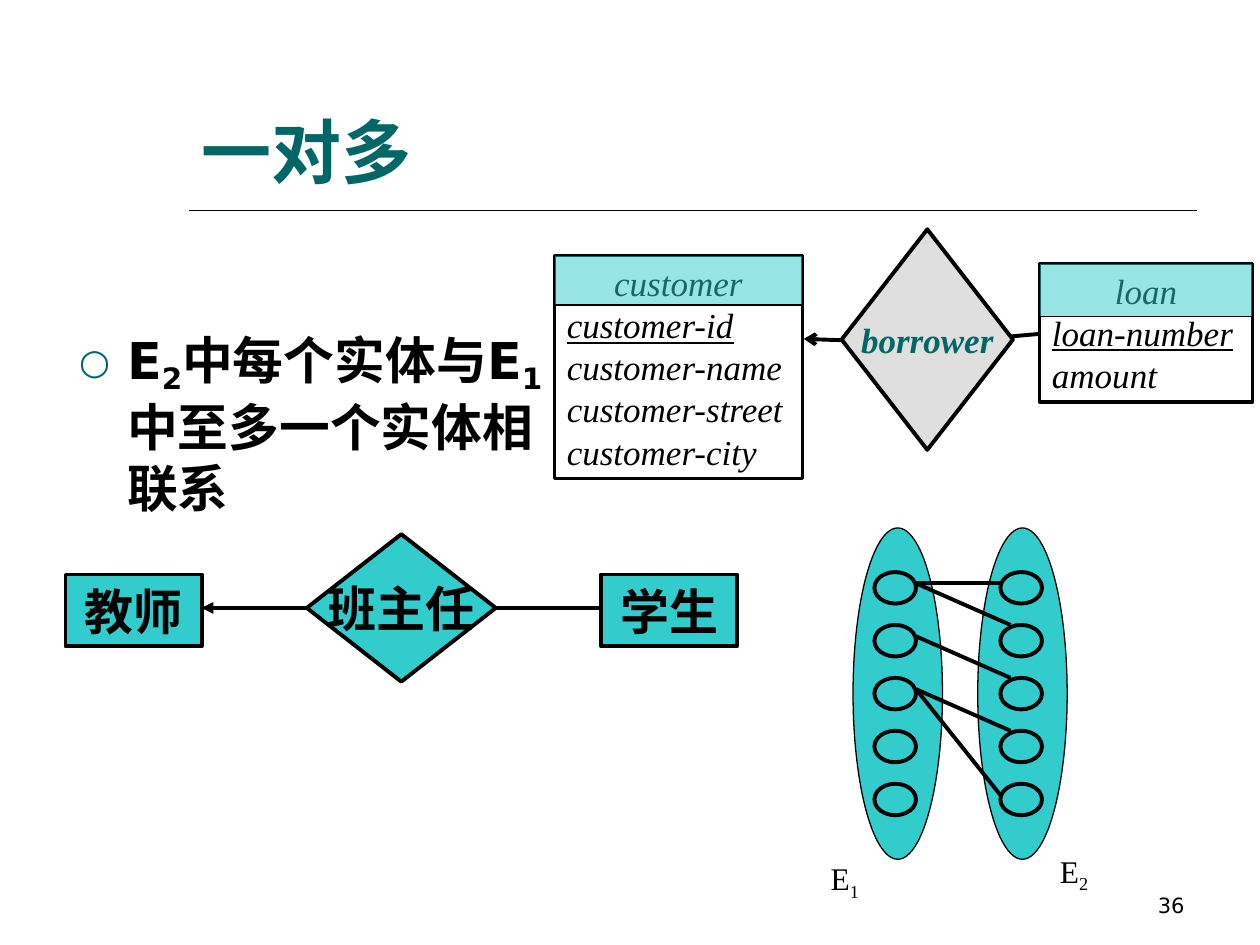
from lxml import etree
from pptx import Presentation
from pptx.dml.color import RGBColor
from pptx.enum import shapes, text
from pptx.oxml import ns
from pptx.util import Inches, Pt

BLACK = RGBColor(0x00, 0x00, 0x00)
DEEP_TEAL = RGBColor(0x00, 0x66, 0x66)
TURQUOISE = RGBColor(0x33, 0xCC, 0xCC)
GRAY = RGBColor(0xDF, 0xDF, 0xDF)

KIND = shapes.MSO_SHAPE
ALIGN = text.PP_ALIGN
ANCHOR = text.MSO_ANCHOR
SERIF = "Times New Roman"
BULLET_FONT = "DejaVu Sans"

TITLE = {"name": "Arial", "size": Pt(40), "bold": True}
BODY = {"name": BULLET_FONT, "size": Pt(29), "bold": True}
NUMBER = {"name": BULLET_FONT, "size": Pt(12)}
CHINESE = {"name": SERIF, "size": Pt(28), "bold": True}
FIELD = {"name": SERIF, "size": Pt(20), "italic": True}
LABEL = {"name": SERIF, "size": Pt(18)}


def add_xml(parent, tag, **values):
    return etree.SubElement(parent, ns.qn(tag), values)


def set_values(target, values):
    for name, value in values.items():
        setattr(target, name, value)


def add_span(para, words, font, color=BLACK, baseline=0):
    span = para.add_run()
    span.text = words
    set_values(span.font, font)
    span.font.color.rgb = color
    if baseline:
        span.font._element.set("baseline", str(baseline * 1000))
    return span


def add_text(page, left, top, width, height, anchor=ANCHOR.TOP):
    box = page.shapes.add_textbox(*map(Inches, (left, top, width, height)))
    set_values(box.text_frame, {"word_wrap": True, "vertical_anchor": anchor})
    return box.text_frame.paragraphs[0]


def add_outline(page, kind, left, top, width, height, fill=None, weight=2.25):
    shape = page.shapes.add_shape(kind, *map(Inches, (left, top, width, height)))
    shape.shadow.inherit = False
    if fill is None:
        shape.fill.background()
    else:
        shape.fill.solid()
        shape.fill.fore_color.rgb = fill
    shape.line.color.rgb = BLACK
    shape.line.width = Pt(weight)
    return shape


def add_node(page, kind, box, words, font, fill, color=BLACK):
    shape = add_outline(page, kind, *box, fill=fill)
    frame = shape.text_frame
    set_values(frame, {"word_wrap": False, "vertical_anchor": ANCHOR.MIDDLE})
    para = frame.paragraphs[0]
    para.alignment = ALIGN.CENTER
    add_span(para, words, font, color)


def add_line(page, start, end, weight=2.25, head=None):
    line = page.shapes.add_connector(
        shapes.MSO_CONNECTOR.STRAIGHT, *map(Inches, (*start, *end)))
    line.line.color.rgb = BLACK
    line.line.width = Pt(weight)
    if head:
        add_xml(line.line._get_or_add_ln(), "a:headEnd", type=head)
    add_xml(line._element.spPr, "a:effectLst")


def add_heading(page, left, top, width, height):
    para = add_text(page, left, top, width, height, ANCHOR.BOTTOM)
    add_span(para, "一对多", TITLE, DEEP_TEAL)
    rule = top + height + 0.09
    add_line(page, (left, rule), (left + width, rule), weight=1)


def add_statement(page, left, top, width, height):
    para = add_text(page, left, top, width, height)
    props = para._p.get_or_add_pPr()
    indent = Inches(0.38)
    props.set("marL", str(indent))
    props.set("indent", str(-indent))
    add_xml(add_xml(props, "a:buClr"), "a:srgbClr", val=str(DEEP_TEAL))
    add_xml(props, "a:buSzPct", val="70000")
    add_xml(props, "a:buFont", typeface=BULLET_FONT)
    add_xml(props, "a:buChar", char="○")
    for words, baseline in (("E", 0), ("2", -20), ("中每个实体与E", 0),
                            ("1", -20), ("中至多一个实体相联系", 0)):
        add_span(para, words, BODY, baseline=baseline)


def add_teacher_diagram(page, left, top, width, height):
    box_width, box_height, diamond_width = 1.08, 0.57, 1.5
    diamond_left = left + (width - diamond_width) / 2
    diamond_right = diamond_left + diamond_width
    right = left + width - box_width
    middle = top + height / 2
    for box_left, words in ((left, "教师"), (right, "学生")):
        box = (box_left, top + 0.32, box_width, box_height)
        add_node(page, KIND.RECTANGLE, box, words, CHINESE, TURQUOISE)
    add_line(page, (left + box_width, middle), (diamond_left, middle), head="triangle")
    add_line(page, (diamond_right, middle), (right, middle))
    add_node(page, KIND.DIAMOND, (diamond_left, top, diamond_width, height),
             "班主任", CHINESE, TURQUOISE)


def add_mapping(page, left, top, width, height):
    set_width, oval_width, oval_height, pitch = 0.71, 0.33, 0.25, 0.42
    first_oval = top + 0.35
    columns = (left + 0.17, left + 1.17)
    for set_left in (left + width - set_width, left):
        add_outline(page, KIND.OVAL, set_left, top, set_width, height, TURQUOISE, 0.75)
    for column in columns:
        for row in range(5):
            add_outline(page, KIND.OVAL, column, first_oval + row * pitch,
                        oval_width, oval_height)
    for source, target in ((0, 0), (2, 3), (1, 2), (0, 1), (2, 4)):
        start = (columns[0] + oval_width, first_oval + 0.09 + source * pitch)
        if target in (0, 4):
            end = (columns[1], first_oval + 0.09 + target * pitch)
        else:
            end = (columns[1] + 0.08, first_oval + target * pitch)
        add_line(page, end, start)
    for label_left, label_top, index in ((left - 0.32, top + 2.58, "1"),
                                         (left + 1.5, top + 2.52, "2")):
        para = add_text(page, label_left, label_top, 0.51, 0.44)
        para.alignment = ALIGN.CENTER
        add_span(para, "E", LABEL)
        add_span(para, index, LABEL, baseline=-25)


def add_entity(page, left, top, width, height, header, name, key, fields):
    shape = add_outline(page, KIND.RECTANGLE, left, top, width, height, weight=2)
    frame = shape.text_frame
    set_values(frame, {"word_wrap": True, "vertical_anchor": ANCHOR.TOP})
    for row, words in enumerate((name, key, *fields)):
        para = frame.add_paragraph() if row else frame.paragraphs[0]
        set_values(para, {"alignment": ALIGN.LEFT if row else ALIGN.CENTER,
                          "line_spacing": Pt(24)})
        span = add_span(para, words, FIELD)
        if words == key:
            span.font.underline = True
    band = add_outline(page, KIND.RECTANGLE, left, top, width, header, TURQUOISE, 0.75)
    color = band._element.spPr.find(ns.qn("a:solidFill"))[0]
    add_xml(color, "a:alpha", val="50000")


def add_borrower_diagram(page, left, top, width, height):
    add_entity(page, left, top + 0.21, 1.97, 1.77, 0.39, "customer", "customer-id",
               ("customer-name", "customer-street", "customer-city"))
    loan_left = left + width - 1.69
    add_entity(page, loan_left, top + 0.27, 1.69, 1.1, 0.42, "loan", "loan-number",
               ("amount",))
    add_line(page, (left + 1.98, top + 0.87), (left + 2.28, top + 0.88), head="arrow")
    add_line(page, (loan_left, top + 0.83), (loan_left - 0.34, top + 0.86))
    add_node(page, KIND.DIAMOND, (left + 2.28, top, 1.36, height), "borrower",
             {**FIELD, "bold": True}, GRAY, DEEP_TEAL)


def add_page_number(page, left, top, width, height):
    para = add_text(page, left, top, width, height, ANCHOR.BOTTOM)
    para.alignment = ALIGN.RIGHT
    add_span(para, "36", NUMBER)


def main():
    deck = Presentation()
    set_values(deck, {"slide_width": Inches(10), "slide_height": Inches(7.5)})
    page = deck.slides.add_slide(deck.slide_layouts[6])
    add_page_number(page, 7.17, 6.83, 2.33, 0.5)
    add_heading(page, 1.5, 0.33, 8, 1.25)
    add_statement(page, 0.53, 2.56, 3.92, 2.21)
    add_teacher_diagram(page, 0.52, 4.24, 5.33, 1.17)
    add_mapping(page, 6.77, 4.19, 1.7, 2.63)
    add_borrower_diagram(page, 4.4, 1.82, 5.54, 1.75)
    deck.save("out.pptx")


if __name__ == "__main__":
    main()
